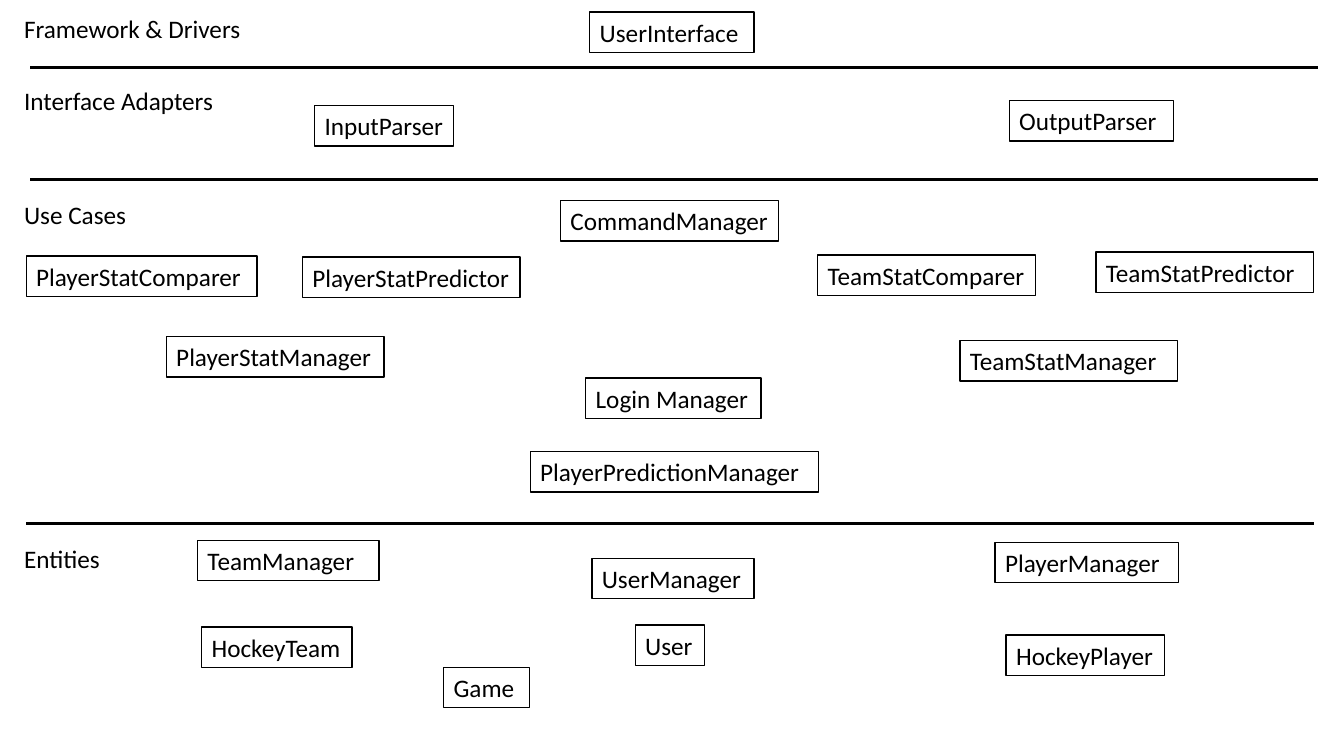
import pptx
import pptx.util
import pptx.dml.color
import pptx.enum.shapes
import pptx.enum.text
import pptx.oxml.ns
import lxml.etree

Inches = pptx.util.Inches
Pt = pptx.util.Pt
BLACK = pptx.dml.color.RGBColor(0x00, 0x00, 0x00)
WHITE = pptx.dml.color.RGBColor(0xFF, 0xFF, 0xFF)
TEXT_HEIGHT = 0.4
LABEL_LEFT, LABEL_WIDTH = 0.14, 2.61
DIVIDER_LENGTH = 12.77

# Layer name, top
LAYERS = [
    ("Framework & Drivers", 0.08),
    ("Interface Adapters", 0.8),
    ("Use Cases", 1.93),
    ("Entities", 5.34),
]

# Left, top
DIVIDERS = [(0.3, 0.67), (0.3, 1.78), (0.26, 5.19)]

# Class name, left, top, width
CLASSES = [
    ("UserInterface", 5.85, 0.12, 1.63),
    ("InputParser", 3.12, 1.05, 1.38),
    ("OutputParser", 10.01, 1, 1.63),
    ("CommandManager", 5.56, 1.99, 2.16),
    ("PlayerStatComparer", 0.26, 2.54, 2.29),
    ("PlayerStatPredictor", 3, 2.55, 2.16),
    ("TeamStatComparer", 8.11, 2.53, 2.16),
    ("TeamStatPredictor", 10.87, 2.5, 2.16),
    ("PlayerStatManager", 1.65, 3.34, 2.16),
    ("TeamStatManager", 9.52, 3.38, 2.16),
    ("Login Manager", 5.81, 3.75, 1.74),
    ("PlayerPredictionManager", 5.26, 4.48, 2.86),
    ("TeamManager", 1.96, 5.36, 1.8),
    ("UserManager", 5.87, 5.54, 1.61),
    ("PlayerManager", 9.87, 5.38, 1.82),
    ("HockeyTeam", 2, 6.22, 1.49),
    ("User", 6.3, 6.2, 0.69),
    ("HockeyPlayer", 9.98, 6.3, 1.57),
    ("Game", 4.4, 6.62, 0.85),
]


def add_text(slide, text, left, top, width):
    """Add a white text box with 18 pt black text and return it."""
    box = slide.shapes.add_textbox(
        Inches(left), Inches(top), Inches(width), Inches(TEXT_HEIGHT))
    box.fill.solid()
    box.fill.fore_color.rgb = WHITE
    text_frame = box.text_frame
    text_frame.word_wrap = True
    text_frame.auto_size = pptx.enum.text.MSO_AUTO_SIZE.SHAPE_TO_FIT_TEXT
    text_frame.text = text
    font = text_frame.paragraphs[0].runs[0].font
    font.name = "Calibri"
    font.size = Pt(18)
    font.color.rgb = BLACK
    return box


presentation = pptx.Presentation()
presentation.slide_width = Inches(13.33)
presentation.slide_height = Inches(7.5)
slide = presentation.slides.add_slide(presentation.slide_layouts[6])

for layer_name, top in LAYERS:
    add_text(slide, layer_name, LABEL_LEFT, top, LABEL_WIDTH)

for left, top in DIVIDERS:
    divider = slide.shapes.add_connector(
        pptx.enum.shapes.MSO_CONNECTOR.STRAIGHT,
        Inches(left), Inches(top), Inches(left + DIVIDER_LENGTH), Inches(top))
    divider.line.color.rgb = BLACK
    divider.line.width = Pt(2.25)
    lxml.etree.SubElement(
        divider._element.spPr, pptx.oxml.ns.qn("a:effectLst"))

for class_name, left, top, width in CLASSES:
    class_box = add_text(slide, class_name, left, top, width)
    class_box.line.color.rgb = BLACK
    class_box.line.width = Pt(1)

presentation.save("out.pptx")
